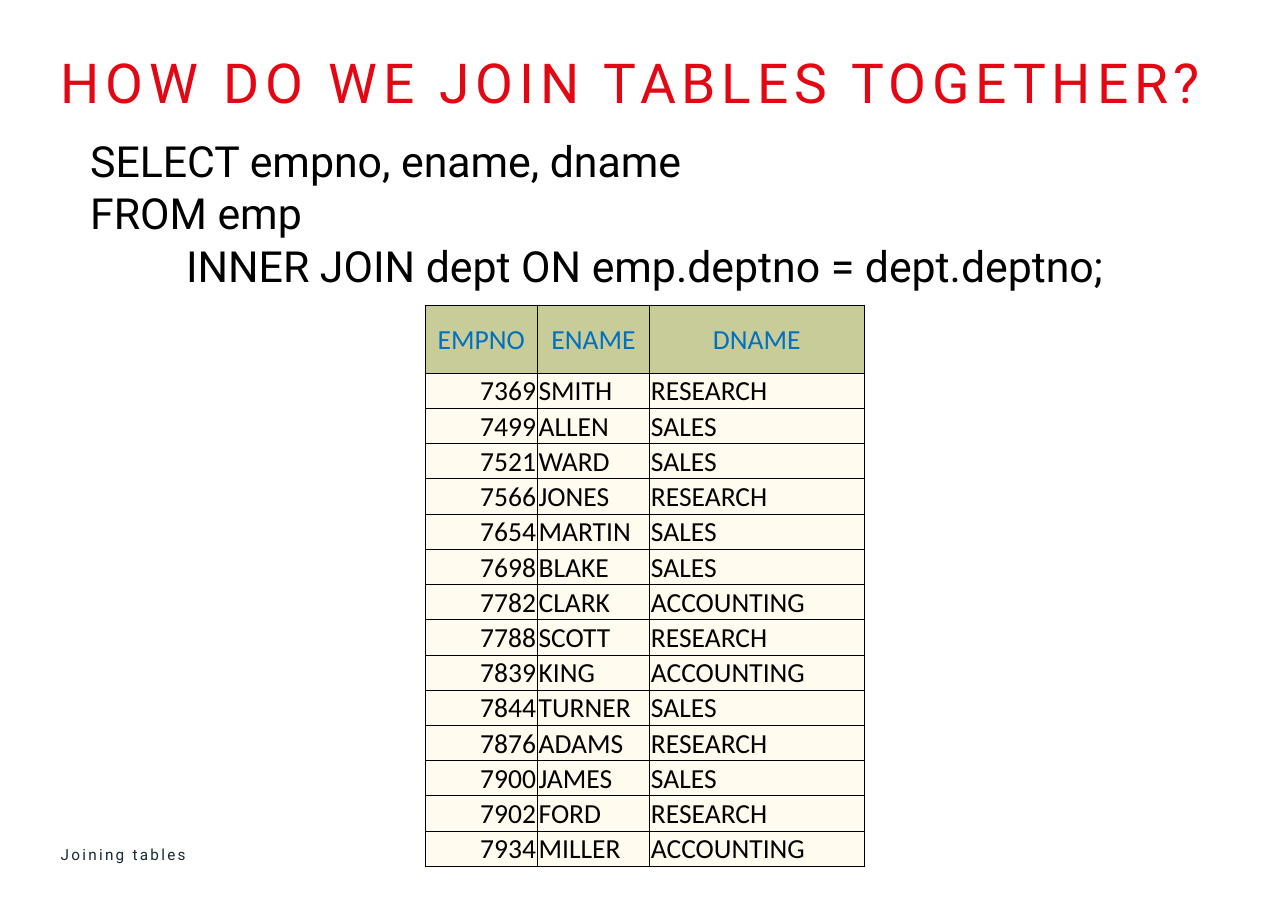
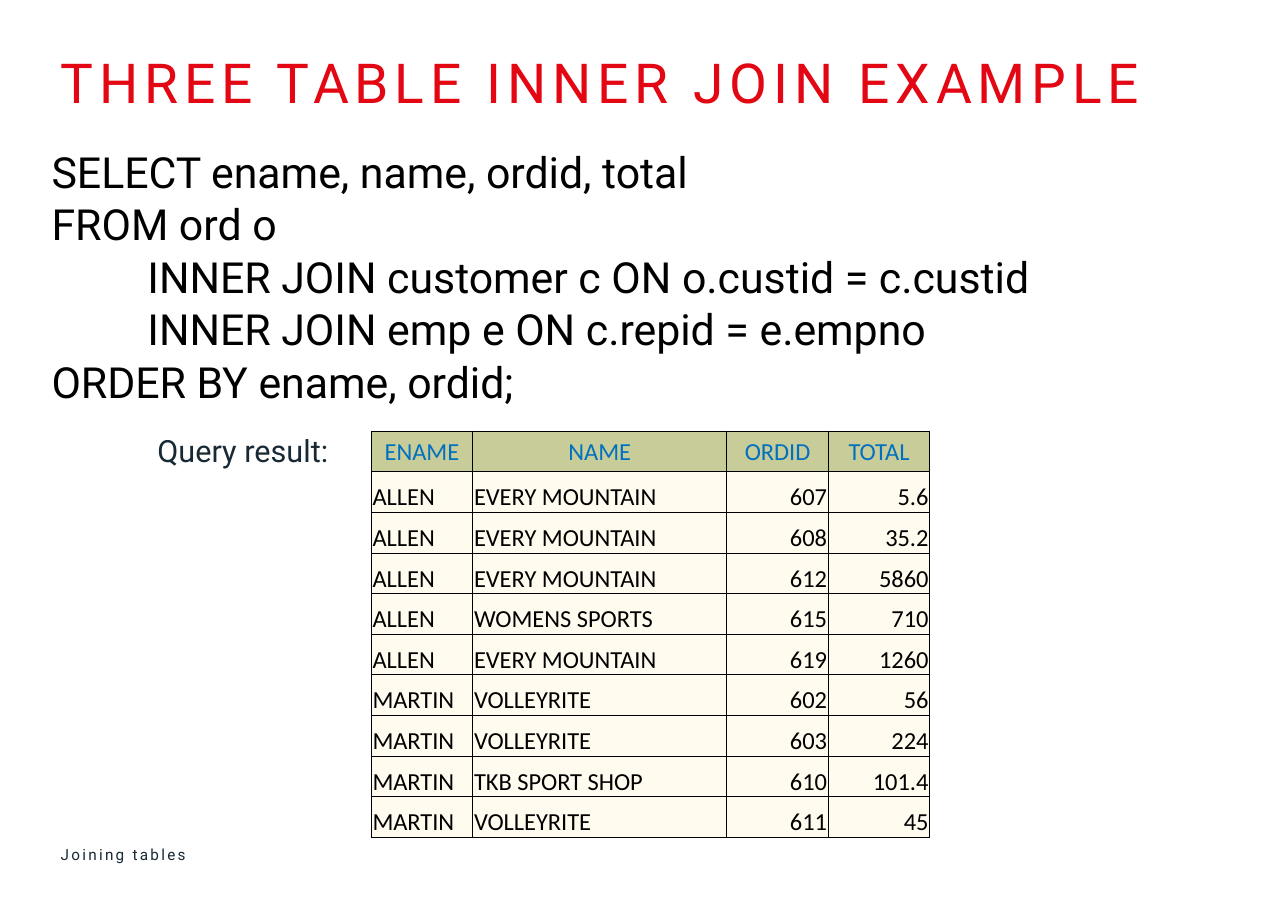
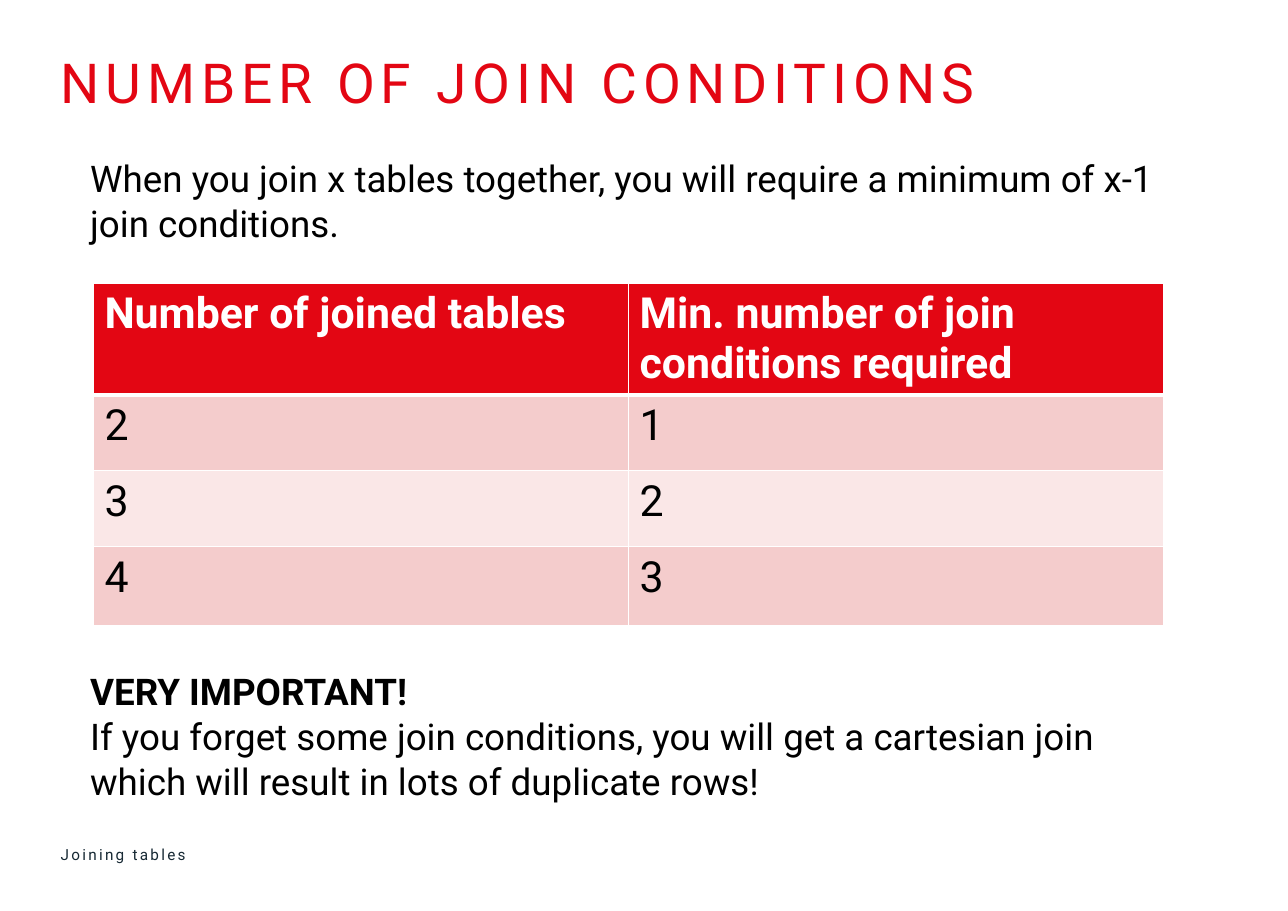
from dataclasses import dataclass

from lxml.etree import SubElement
from pptx import Presentation
from pptx.dml.color import RGBColor
from pptx.enum.text import MSO_ANCHOR, MSO_AUTO_SIZE, PP_ALIGN
from pptx.oxml.ns import qn
from pptx.util import Cm, Pt


@dataclass(frozen=True)
class Theme:
    font: str = "Roboto"
    table_font: str = "Calibri"
    red: str = "E30613"
    ink: str = "172934"
    black: str = "000000"
    white: str = "FFFFFF"
    blue: str = "0070C0"
    olive: str = "C8CC98"
    cream: str = "FFFBEF"
    rose: str = "F4CCCC"
    pale_rose: str = "FAE7E7"
    title_size: int = 36
    code_size: int = 28
    body_size: int = 24
    label_size: int = 20
    footer_size: int = 10


THEME = Theme()
LEFT, CENTER, RIGHT = PP_ALIGN.LEFT, PP_ALIGN.CENTER, PP_ALIGN.RIGHT
TEXT_MARGINS = (0.25, 0.13, 0.25, 0.13)
TIGHT_MARGINS = (0.03, 0.03, 0.03, 0)
NO_MARGINS = (0, 0, 0, 0)
JOIN_INDENT = 2.21
LINE_SPACING = 1.02

EMPLOYEES = [
    ("7369", "SMITH", "RESEARCH"),
    ("7499", "ALLEN", "SALES"),
    ("7521", "WARD", "SALES"),
    ("7566", "JONES", "RESEARCH"),
    ("7654", "MARTIN", "SALES"),
    ("7698", "BLAKE", "SALES"),
    ("7782", "CLARK", "ACCOUNTING"),
    ("7788", "SCOTT", "RESEARCH"),
    ("7839", "KING", "ACCOUNTING"),
    ("7844", "TURNER", "SALES"),
    ("7876", "ADAMS", "RESEARCH"),
    ("7900", "JAMES", "SALES"),
    ("7902", "FORD", "RESEARCH"),
    ("7934", "MILLER", "ACCOUNTING"),
]
ORDERS = [
    ("ALLEN", "EVERY MOUNTAIN", "607", "5.6"),
    ("ALLEN", "EVERY MOUNTAIN", "608", "35.2"),
    ("ALLEN", "EVERY MOUNTAIN", "612", "5860"),
    ("ALLEN", "WOMENS SPORTS", "615", "710"),
    ("ALLEN", "EVERY MOUNTAIN", "619", "1260"),
    ("MARTIN", "VOLLEYRITE", "602", "56"),
    ("MARTIN", "VOLLEYRITE", "603", "224"),
    ("MARTIN", "TKB SPORT SHOP", "610", "101.4"),
    ("MARTIN", "VOLLEYRITE", "611", "45"),
]


def format_paragraph(paragraph, text, *, size, color=THEME.black, font=THEME.font,
                     bold=False, align=LEFT, spacing=0, indent=0, line_spacing=1.0):
    """Write text in one format; spacing is between letters, in points."""
    paragraph.alignment = align
    paragraph.line_spacing = line_spacing
    if indent:
        paragraph._p.get_or_add_pPr().set("marL", str(Cm(indent)))
    run = paragraph.add_run()
    run.text = text
    run.font.name = font
    run.font.size = Pt(size)
    run.font.bold = bold
    run.font.color.rgb = RGBColor.from_string(color)
    if spacing:
        run._r.get_or_add_rPr().set("spc", str(round(spacing * 100)))


def set_frame(text_frame, margins, anchor):
    text_frame.word_wrap = True
    text_frame.auto_size = MSO_AUTO_SIZE.NONE
    text_frame.vertical_anchor = anchor
    (text_frame.margin_left, text_frame.margin_top,
     text_frame.margin_right, text_frame.margin_bottom) = map(Cm, margins)


def add_text(slide, box, lines, *, margins=TEXT_MARGINS, anchor=MSO_ANCHOR.TOP,
             fill=None, **text_format):
    """Add a text box; each line is a text or a (text, own format) pair."""
    shape = slide.shapes.add_textbox(*map(Cm, box))
    set_frame(shape.text_frame, margins, anchor)
    if fill:
        shape.fill.solid()
        shape.fill.fore_color.rgb = RGBColor.from_string(fill)
    for index, line in enumerate(lines):
        text, own_format = (line, {}) if isinstance(line, str) else line
        frame = shape.text_frame
        paragraph = frame.add_paragraph() if index else frame.paragraphs[0]
        format_paragraph(paragraph, text, **{**text_format, **own_format})


def add_query(slide, box, lines):
    add_text(slide, box,
             [(line, {"indent": JOIN_INDENT}) if line.startswith("INNER JOIN") else line
              for line in lines],
             size=THEME.code_size, line_spacing=LINE_SPACING, fill=THEME.white)


def set_borders(cell, color, widths):
    """Draw the borders; widths are points for left, right, top, bottom."""
    properties = cell._tc.get_or_add_tcPr()
    for side, width in zip("LRTB", widths):
        line = SubElement(properties, qn(f"a:ln{side}"), w=str(Pt(width)))
        fill = SubElement(line, qn("a:solidFill"))
        SubElement(fill, qn("a:srgbClr"), val=color)


def fill_cell(cell, text, *, fill, border, widths, margins, anchor, **text_format):
    set_borders(cell, border, widths)
    cell.fill.solid()
    cell.fill.fore_color.rgb = RGBColor.from_string(fill)
    cell.vertical_anchor = anchor
    (cell.margin_left, cell.margin_top,
     cell.margin_right, cell.margin_bottom) = map(Cm, margins)
    format_paragraph(cell.text_frame.paragraphs[0], text, **text_format)


def add_grid(slide, left, top, column_widths, row_heights):
    """Add a table without style bands and return it."""
    table = slide.shapes.add_table(
        len(row_heights), len(column_widths), Cm(left), Cm(top),
        Cm(sum(column_widths)), Cm(sum(row_heights))).table
    table.first_row = table.horz_banding = False
    for column, width in zip(table.columns, column_widths):
        column.width = Cm(width)
    for row, height in zip(table.rows, row_heights):
        row.height = Cm(height)
    return table


def add_result_table(slide, left, top, column_widths, row_heights, header, records,
                     aligns, size):
    table = add_grid(slide, left, top, column_widths, row_heights)
    shared = dict(border=THEME.black, widths=(0.5,) * 4, margins=TIGHT_MARGINS,
                  font=THEME.table_font, size=size)
    for column, (heading, align) in enumerate(zip(header, aligns)):
        fill_cell(table.cell(0, column), heading, fill=THEME.olive, color=THEME.blue,
                  anchor=MSO_ANCHOR.MIDDLE, align=CENTER, **shared)
        for row, record in enumerate(records, start=1):
            fill_cell(table.cell(row, column), record[column], fill=THEME.cream,
                      anchor=MSO_ANCHOR.BOTTOM, align=align, **shared)


def add_banded_table(slide, left, top, column_widths, row_heights, rows):
    table = add_grid(slide, left, top, column_widths, row_heights)
    for row, texts in enumerate(rows):
        is_header = row == 0
        band = THEME.rose if row % 2 else THEME.pale_rose
        for column, text in enumerate(texts):
            fill_cell(table.cell(row, column), text,
                      fill=THEME.red if is_header else band,
                      color=THEME.white if is_header else THEME.black,
                      bold=is_header, border=THEME.white,
                      widths=(1, 1, 3 if row == 1 else 1, 3 if is_header else 1),
                      margins=TEXT_MARGINS, anchor=MSO_ANCHOR.TOP,
                      size=THEME.code_size)


def add_slide(presentation, title):
    """Add a slide with the shared title and footer."""
    slide = presentation.slides.add_slide(
        presentation.slide_layouts.get_by_name("Title Only"))
    shape = slide.shapes.title
    shape.left, shape.top, shape.width, shape.height = map(Cm, (1.4, 1.07, 27.2, 1.57))
    set_frame(shape.text_frame, NO_MARGINS, MSO_ANCHOR.BOTTOM)
    format_paragraph(shape.text_frame.paragraphs[0], title, size=THEME.title_size,
                     color=THEME.red, spacing=3.8)
    add_text(slide, (1.4, 19.41, 18.52, 0.56), ["Joining tables"], margins=NO_MARGINS,
             anchor=MSO_ANCHOR.MIDDLE, size=THEME.footer_size, color=THEME.ink,
             spacing=1.5)
    return slide


def add_two_table_slide(presentation):
    slide = add_slide(presentation, "HOW DO WE JOIN TABLES TOGETHER?")
    add_query(slide, (1.83, 2.95, 26.8, 3.84), [
        "SELECT empno, ename, dname",
        "FROM emp",
        "INNER JOIN dept ON emp.deptno = dept.deptno;",
    ])
    count = len(EMPLOYEES)
    add_result_table(slide, 9.8, 7.03, (2.59, 2.59, 4.94),
                     [1.57] + [11.38 / count] * count,
                     ("EMPNO", "ENAME", "DNAME"), EMPLOYEES, (RIGHT, LEFT, LEFT), 18)


def add_three_table_slide(presentation):
    slide = add_slide(presentation, "THREE TABLE INNER JOIN EXAMPLE")
    add_query(slide, (0.94, 3.2, 27.74, 6.25), [
        "SELECT ename, name, ordid, total",
        "FROM ord o",
        "INNER JOIN customer c ON o.custid = c.custid",
        "INNER JOIN emp e ON c.repid = e.empno",
        "ORDER BY ename, ordid;",
    ])
    count = len(ORDERS) + 1
    add_result_table(slide, 8.56, 9.94, (2.34, 5.86, 2.34, 2.34), [9.36 / count] * count,
                     ("ENAME", "NAME", "ORDID", "TOTAL"), ORDERS,
                     (LEFT, LEFT, RIGHT, RIGHT), 16)
    add_text(slide, (3.63, 9.94, 9.83, 0.86), ["Query result:"], margins=NO_MARGINS,
             size=THEME.label_size, color=THEME.ink, line_spacing=LINE_SPACING)


def add_conditions_slide(presentation):
    slide = add_slide(presentation, "NUMBER OF JOIN CONDITIONS")
    body = dict(size=THEME.body_size, line_spacing=LINE_SPACING)
    add_text(slide, (1.83, 3.45, 25.37, 2.31), [
        "When you join x tables together, you will require a minimum of x-1 "
        "join conditions.",
    ], **body)
    add_banded_table(slide, 2.16, 6.53, (12.34, 12.34), (2.57, 1.75, 1.75, 1.83), [
        ("Number of joined tables", "Min. number of join conditions required"),
        ("2", "1"),
        ("3", "2"),
        ("4", "3"),
    ])
    add_text(slide, (1.83, 15.27, 25.37, 3.33), [
        ("VERY IMPORTANT!", {"bold": True}),
        "If you forget some join conditions, you will get a cartesian join "
        "which will result in lots of duplicate rows!",
    ], **body)


def main():
    presentation = Presentation()
    presentation.slide_width, presentation.slide_height = Cm(29.7), Cm(21)
    add_two_table_slide(presentation)
    add_three_table_slide(presentation)
    add_conditions_slide(presentation)
    presentation.save("out.pptx")


if __name__ == "__main__":
    main()
